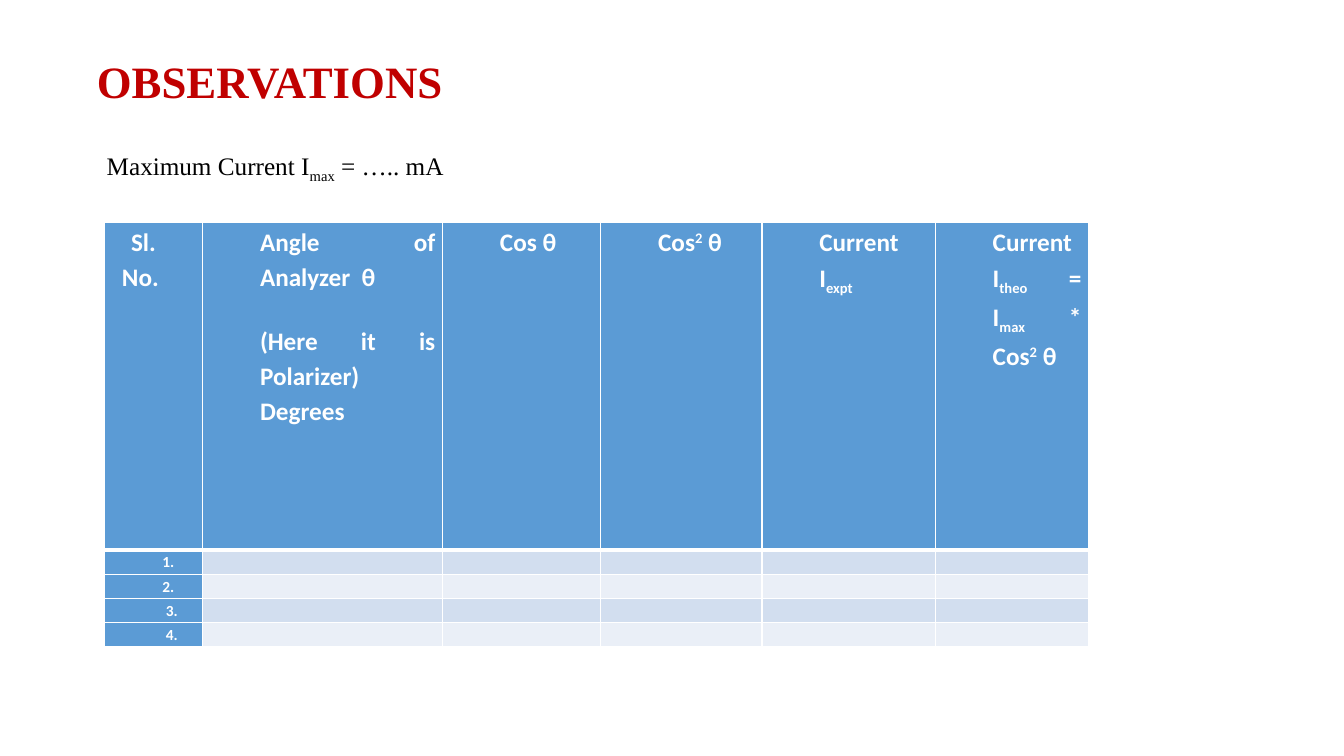
from dataclasses import dataclass

from lxml import etree
from pptx import Presentation
from pptx import util as u
from pptx.dml.color import RGBColor
from pptx.enum import text
from pptx.oxml import ns


@dataclass(frozen=True)
class Theme:
    """Colours, fonts and type sizes of the slide."""
    title: str = "C00000"
    ink: str = "000000"
    white: str = "FFFFFF"
    header: str = "5B9BD5"
    bands: tuple = ("D2DEEF", "EAEFF7")
    serif: str = "Times New Roman"
    sans: str = "Calibri"
    title_size: int = 32
    text_size: int = 18
    number_size: int = 11


THEME = Theme()
SUB, SUPER = -25, 30
COLUMN_SHARES = (0.97, 2.38, 1.57, 1.6, 1.72, 1.52)
ROW_SHARES = (3.25, 0.24, 0.24, 0.24, 0.24)
HEADERS = (
    [["Sl. No."]],
    [["Angle of Analyzer  θ"], ["(Here it is Polarizer)"], ["Degrees"]],
    [["Cos θ"]],
    [["Cos", ("2", SUPER), " θ"]],
    [["Current "], ["I", ("expt", SUB)]],
    [["Current"], ["I", ("theo", SUB), " = I", ("max", SUB), " * Cos", ("2", SUPER), " θ"]],
)
NUMBERS = ("1.", "2.", " 3.", " 4.")


def place(presentation, left, top, width, height):
    """Turn percentages of the slide's size into a box."""
    across, down = presentation.slide_width / 100, presentation.slide_height / 100
    return [u.Emu(round(length)) for length in (left * across, top * down, width * across, height * down)]


def write(paragraph, pieces, font_name, size, colour, bold=False):
    """Fill a justified paragraph with plain, raised or lowered pieces."""
    paragraph.alignment = text.PP_ALIGN.JUSTIFY
    for piece in pieces:
        words, baseline = (piece, 0) if isinstance(piece, str) else piece
        run = paragraph.add_run()
        run.text = words
        run.font.name, run.font.size, run.font.bold = font_name, u.Pt(size), bold
        run.font.color.rgb = RGBColor.from_string(colour)
        if baseline:
            run.font._element.set("baseline", str(baseline * 1000))


def indent(paragraph, left, first=0.0):
    """Set the left and first-line indents in inches."""
    properties = paragraph._p.get_or_add_pPr()
    properties.set("marL", str(u.Inches(left)))
    properties.set("indent", str(u.Inches(first)))


def format_cell(cell, fill, top=1, bottom=1):
    """Give a cell its margins, white borders and fill."""
    cell.margin_left = cell.margin_right = u.Inches(0.07)
    cell.margin_top = cell.margin_bottom = 0
    properties = cell._tc.get_or_add_tcPr()
    for side, width in (("L", 1), ("R", 1), ("T", top), ("B", bottom)):
        line = etree.SubElement(properties, ns.qn(f"a:ln{side}"), w=str(u.Pt(width)))
        solid = etree.SubElement(line, ns.qn("a:solidFill"))
        etree.SubElement(solid, ns.qn("a:srgbClr"), val=THEME.white)
    cell.fill.solid()
    cell.fill.fore_color.rgb = RGBColor.from_string(fill)


def write_cell(cell, lines, size):
    """Write bold white lines into a cell."""
    for index, pieces in enumerate(lines):
        paragraph = cell.text_frame.add_paragraph() if index else cell.text_frame.paragraphs[0]
        paragraph.line_spacing = 1.15
        indent(paragraph, 0.5)
        write(paragraph, pieces, THEME.sans, size, THEME.white, True)


def add_title(slide, box):
    """Set the heading in the title placeholder."""
    title = slide.shapes.title
    title.left, title.top, title.width, title.height = box
    frame = title.text_frame
    frame.vertical_anchor = text.MSO_ANCHOR.TOP
    frame.auto_size = text.MSO_AUTO_SIZE.NONE
    write(frame.paragraphs[0], ["OBSERVATIONS"], THEME.serif, THEME.title_size, THEME.title, True)


def add_current(slide, box):
    """Add the line for the maximum current."""
    frame = slide.shapes.add_textbox(*box).text_frame
    frame.word_wrap = True
    paragraph = frame.paragraphs[0]
    paragraph.line_spacing = 1.15
    paragraph.space_after = u.Pt(10)
    pieces = ["Maximum Current I", ("max", SUB), " = ….. mA"]
    write(paragraph, pieces, THEME.serif, THEME.text_size, THEME.ink)


def add_readings(slide, box):
    """Add the table of readings with its header row and numbered rows."""
    width, height = box[2:]
    table = slide.shapes.add_table(len(ROW_SHARES), len(COLUMN_SHARES), *box).table
    table.first_col = True
    for column, share in zip(table.columns, COLUMN_SHARES):
        column.width = round(width * share / sum(COLUMN_SHARES))
    for row, share in zip(table.rows, ROW_SHARES):
        row.height = round(height * share / sum(ROW_SHARES))
    for column, lines in enumerate(HEADERS):
        format_cell(table.cell(0, column), THEME.header, bottom=3)
        write_cell(table.cell(0, column), lines, THEME.text_size)
    indent(table.cell(0, 0).text_frame.paragraphs[0], 0.1, 0.09)
    table.cell(0, 1).text_frame.paragraphs[1].space_before = u.Pt(20)
    table.cell(0, 5).text_frame.paragraphs[1].space_after = u.Pt(10)
    for row, number in enumerate(NUMBERS, 1):
        band = THEME.bands[(row - 1) % 2]
        for column in range(len(COLUMN_SHARES)):
            cell = table.cell(row, column)
            format_cell(cell, band if column else THEME.header, top=3 if row == 1 else 1)
            if column:
                end = etree.SubElement(cell.text_frame.paragraphs[0]._p, ns.qn("a:endParaRPr"))
                end.set("sz", str(THEME.number_size * 100))
            else:
                write_cell(cell, [[number]], THEME.number_size)


def main():
    """Build and save the observations slide."""
    presentation = Presentation()
    presentation.slide_width, presentation.slide_height = u.Inches(13.33), u.Inches(7.5)
    slide = presentation.slides.add_slide(presentation.slide_layouts[5])
    add_title(slide, place(presentation, 6.45, 6.4, 95.1, 12.8))
    add_readings(slide, place(presentation, 7.8, 29.47, 73.2, 56.13))
    add_current(slide, place(presentation, 7.2, 18.53, 50.78, 5.73))
    presentation.save("out.pptx")


if __name__ == "__main__":
    main()
